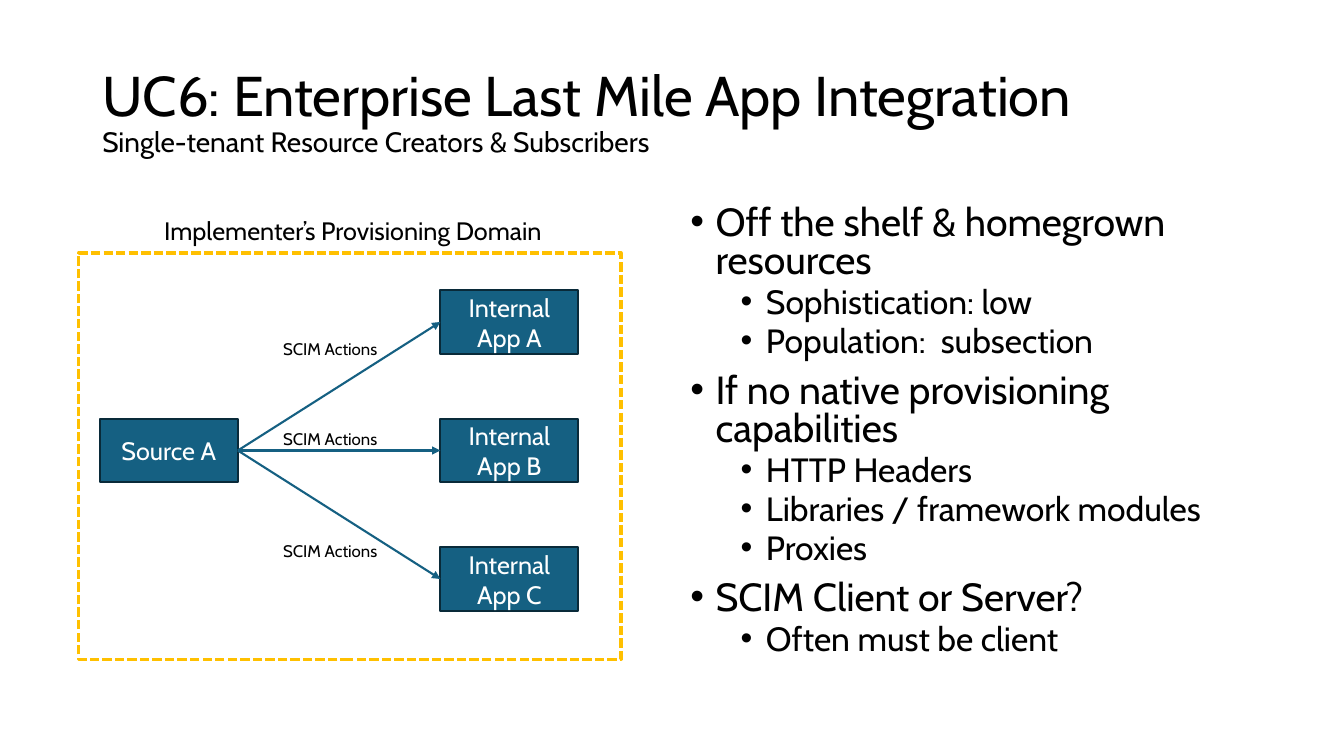
import dataclasses

import pptx
import pptx.dml.color
import pptx.enum.dml
import pptx.enum.shapes
import pptx.enum.text
import pptx.oxml.ns
import pptx.util
from lxml import etree

Pt = pptx.util.Pt
Align = pptx.enum.text.PP_ALIGN
Anchor = pptx.enum.text.MSO_ANCHOR
AutoSize = pptx.enum.text.MSO_AUTO_SIZE
qn = pptx.oxml.ns.qn

FONT = "Cabin"
BLACK, WHITE, BLUE, NAVY, GOLD = "000000", "FFFFFF", "156082", "092A39", "FFC000"
BOX_WIDTH, BOX_HEIGHT = 98.6, 45.6
SOURCE_LEFT, APP_LEFT, APP_TOP, APP_STEP = 71.3, 314.6, 207.2, 91.8


@dataclasses.dataclass
class Box:
    text: str
    left: float
    top: float


@dataclasses.dataclass
class Label:
    text: str
    left: float
    top: float
    width: float
    height: float
    size: float


@dataclasses.dataclass
class Bullet:
    text: str
    level: int = 0


# Indent of the text and paragraph format for each bullet level
LEVEL_INDENTS = [18, 54]
LEVEL_SIZES = [28, 24]
LEVEL_SPACES = [10, 5]

SOURCE = Box("Source A", SOURCE_LEFT, APP_TOP + APP_STEP)
APPS = [Box(f"Internal App {letter}", APP_LEFT, APP_TOP + row * APP_STEP)
        for row, letter in enumerate("ABC")]
LABELS = [Label("Implementer’s Provisioning Domain", 110.2, 150.5, 292.3, 28.8, 18)]
LABELS += [Label("SCIM Actions", 195.1, top, 84.2, 21.6, 12) for top in (238.3, 302.4, 383)]
BULLETS = [
    Bullet("Off the shelf & homegrown resources"),
    Bullet("Sophistication: low", 1),
    Bullet("Population:  subsection", 1),
    Bullet("If no native provisioning capabilities"),
    Bullet("HTTP Headers", 1),
    Bullet("Libraries / framework modules", 1),
    Bullet("Proxies", 1),
    Bullet("SCIM Client or Server?"),
    Bullet("Often must be client", 1),
]


def color(value: str) -> pptx.dml.color.RGBColor:
    return pptx.dml.color.RGBColor.from_string(value)


def set_format(target, values: dict) -> None:
    for name, value in values.items():
        setattr(target, name, value)


def add_run(paragraph, text: str, size: float, text_color: str = BLACK) -> None:
    run = paragraph.add_run()
    run.text = text
    set_format(run.font, {"name": FONT, "size": Pt(size)})
    run.font.color.rgb = color(text_color)


def add_text_frame(slide, left: float, top: float, width: float, height: float, **values):
    shape = slide.shapes.add_textbox(Pt(left), Pt(top), Pt(width), Pt(height))
    set_format(shape.text_frame, {"word_wrap": True, **values})
    return shape.text_frame


def add_rectangle(slide, left: float, top: float, width: float, height: float,
                  line_color: str, line_width: float):
    shape = slide.shapes.add_shape(pptx.enum.shapes.MSO_SHAPE.RECTANGLE,
                                   Pt(left), Pt(top), Pt(width), Pt(height))
    shape.shadow.inherit = False
    shape.line.color.rgb = color(line_color)
    shape.line.width = Pt(line_width)
    return shape


def add_title(slide) -> None:
    frame = add_text_frame(slide, 66, 28.8, 828, 104.4, vertical_anchor=Anchor.MIDDLE)
    paragraph = frame.paragraphs[0]
    paragraph.line_spacing = 0.9
    add_run(paragraph, "UC6: Enterprise Last Mile App Integration", 40)
    paragraph.add_line_break()
    add_run(paragraph, "Single-tenant Resource Creators & Subscribers", 20)


def add_bullets(slide, bullets: list[Bullet]) -> None:
    frame = add_text_frame(slide, 486, 144, 408, 342.7)
    for index, bullet in enumerate(bullets):
        paragraph = frame.add_paragraph() if index else frame.paragraphs[0]
        set_format(paragraph, {"level": bullet.level, "line_spacing": 0.8,
                               "space_before": Pt(LEVEL_SPACES[bullet.level])})
        add_run(paragraph, bullet.text, LEVEL_SIZES[bullet.level])
        properties = paragraph._p.get_or_add_pPr()
        properties.set("marL", str(Pt(LEVEL_INDENTS[bullet.level])))
        properties.set("indent", str(-Pt(18)))
        etree.SubElement(properties, qn("a:buFont"), typeface="Arial")
        etree.SubElement(properties, qn("a:buChar"), char="•")


def add_domain(slide) -> None:
    shape = add_rectangle(slide, 56.2, 180.7, 387.4, 290.2, GOLD, 2.25)
    shape.fill.background()
    shape.line.dash_style = pptx.enum.dml.MSO_LINE.SQUARE_DOT
    shape.line._ln.find(qn("a:prstDash")).set("val", "sysDash")


def add_box(slide, box: Box):
    shape = add_rectangle(slide, box.left, box.top, BOX_WIDTH, BOX_HEIGHT, NAVY, 1.5)
    shape.fill.solid()
    shape.fill.fore_color.rgb = color(BLUE)
    set_format(shape.text_frame, {"word_wrap": True, "vertical_anchor": Anchor.MIDDLE})
    paragraph = shape.text_frame.paragraphs[0]
    paragraph.alignment = Align.CENTER
    add_run(paragraph, box.text, 18, WHITE)
    return shape


def add_arrow(slide, source, target) -> None:
    connector = slide.shapes.add_connector(pptx.enum.shapes.MSO_CONNECTOR.STRAIGHT, 0, 0, 0, 0)
    connector.begin_connect(source, 3)
    connector.end_connect(target, 1)
    connector.line.color.rgb = color(BLUE)
    connector.line.width = Pt(1.5)
    etree.SubElement(connector.line._ln, qn("a:tailEnd"), type="triangle")
    etree.SubElement(connector._element.spPr, qn("a:effectLst"))


def add_label(slide, label: Label) -> None:
    frame = add_text_frame(slide, label.left, label.top, label.width, label.height,
                           word_wrap=False, auto_size=AutoSize.SHAPE_TO_FIT_TEXT)
    add_run(frame.paragraphs[0], label.text, label.size)


def main() -> None:
    presentation = pptx.Presentation()
    set_format(presentation, {"slide_width": Pt(960), "slide_height": Pt(540)})
    slide = presentation.slides.add_slide(presentation.slide_layouts[6])

    # Title and bullet text
    add_title(slide)
    add_bullets(slide, BULLETS)

    # Provisioning diagram
    add_domain(slide)
    source = add_box(slide, SOURCE)
    targets = [add_box(slide, app) for app in APPS]
    for target in targets:
        add_arrow(slide, source, target)
    for label in LABELS:
        add_label(slide, label)

    presentation.save("out.pptx")


if __name__ == "__main__":
    main()
